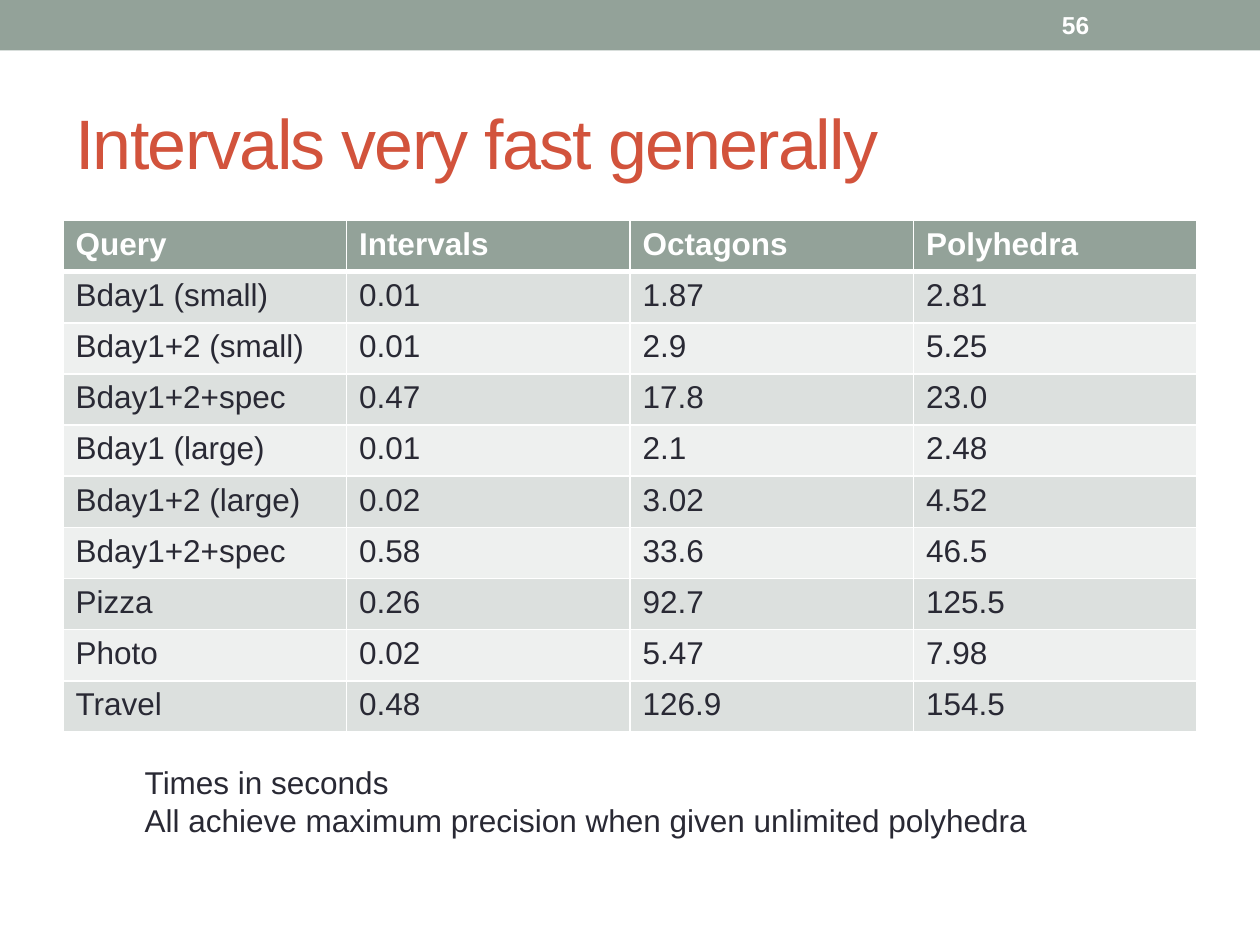
from lxml import etree
from pptx import Presentation
from pptx.dml.color import RGBColor
from pptx.enum.shapes import MSO_SHAPE
from pptx.enum.text import MSO_ANCHOR
from pptx.oxml.ns import qn
from pptx.util import Inches, Pt

RECTANGLE = MSO_SHAPE.RECTANGLE
TOP, MIDDLE = MSO_ANCHOR.TOP, MSO_ANCHOR.MIDDLE
COLORS = {
    "sage": "93A299",
    "title": "D2533C",
    "ink": "292934",
    "white": "FFFFFF",
    "band_dark": "DCE0DE",
    "band_light": "EEF0EF",
}
TIMINGS = [
    ("Query", "Intervals", "Octagons", "Polyhedra"),
    ("Bday1 (small)", "0.01", "1.87", "2.81"),
    ("Bday1+2 (small)", "0.01", "2.9", "5.25"),
    ("Bday1+2+spec", "0.47", "17.8", "23.0"),
    ("Bday1 (large)", "0.01", "2.1", "2.48"),
    ("Bday1+2 (large)", "0.02", "3.02", "4.52"),
    ("Bday1+2+spec", "0.58", "33.6", "46.5"),
    ("Pizza", "0.26", "92.7", "125.5"),
    ("Photo", "0.02", "5.47", "7.98"),
    ("Travel", "0.48", "126.9", "154.5"),
]


class SlideBuilder:
    """Holds the style and the current slide."""

    font = "Arial"

    def __init__(self, slide):
        self.slide = slide

    def paint(self, fill, color):
        fill.solid()
        fill.fore_color.rgb = RGBColor.from_string(COLORS[color])

    def style(self, frame, size, color, bold=False, spacing=None):
        for paragraph in frame.paragraphs:
            for run in paragraph.runs:
                run.font.name = self.font
                run.font.size = Pt(size)
                run.font.bold = bold
                run.font.color.rgb = RGBColor.from_string(COLORS[color])
                if spacing is not None:
                    run.font._element.set("spc", str(int(spacing * 100)))

    def bar(self, left, top, width, height, color):
        bar = self.slide.shapes.add_shape(
            RECTANGLE, Inches(left), Inches(top), Inches(width), Inches(height))
        bar.shadow.inherit = False
        self.paint(bar.fill, color)
        bar.line.fill.background()

    def text(self, left, top, width, height, text, size, color,
             anchor=TOP, wrap=True, **run_style):
        frame = self.slide.shapes.add_textbox(
            Inches(left), Inches(top), Inches(width), Inches(height)).text_frame
        frame.word_wrap = wrap
        frame.vertical_anchor = anchor
        frame.text = text
        self.style(frame, size, color, **run_style)

    def border(self, cell, side, width):
        line = etree.SubElement(
            cell._tc.get_or_add_tcPr(), qn(f"a:ln{side}"), w=str(Pt(width)))
        fill = etree.SubElement(line, qn("a:solidFill"))
        etree.SubElement(fill, qn("a:srgbClr"), val=COLORS["white"])

    def table(self, left, top, width, height, rows, size):
        table = self.slide.shapes.add_table(
            len(rows), len(rows[0]), Inches(left), Inches(top),
            Inches(width), Inches(height)).table
        for r, values in enumerate(rows):
            header = r == 0
            band = "sage" if header else "band_dark" if r % 2 else "band_light"
            # The header is set off by a thicker rule
            widths = {"L": 1, "R": 1, "T": 3 if r == 1 else 1, "B": 3 if header else 1}
            for c, value in enumerate(values):
                cell = table.cell(r, c)
                cell.text_frame.text = value
                self.style(cell.text_frame, size,
                           "white" if header else "ink", bold=header)
                for side, line_width in widths.items():
                    self.border(cell, side, line_width)
                self.paint(cell.fill, band)


def main():
    deck = Presentation()
    deck.slide_width, deck.slide_height = Inches(10), Inches(7.5)
    builder = SlideBuilder(deck.slides.add_slide(deck.slide_layouts[6]))

    # Top band and title
    builder.bar(0, 0, 10, 0.4, "sage")
    builder.text(0.5, 0.58, 9, 1.08, "Intervals very fast generally", 40, "title",
                 anchor=MIDDLE, spacing=-1)

    # Timings by abstract domain
    builder.table(0.5, 1.75, 9, 4.06, TIMINGS, 18)

    # Slide number
    builder.text(8.33, 0.02, 1.17, 0.36, "56", 14, "white", anchor=MIDDLE, bold=True)

    # Notes under the table
    builder.text(1.05, 6.01, 7.29, 0.71,
                 "Times in seconds\n"
                 "All achieve maximum precision when given unlimited polyhedra",
                 18, "ink", wrap=False)

    deck.save("out.pptx")


if __name__ == "__main__":
    main()
